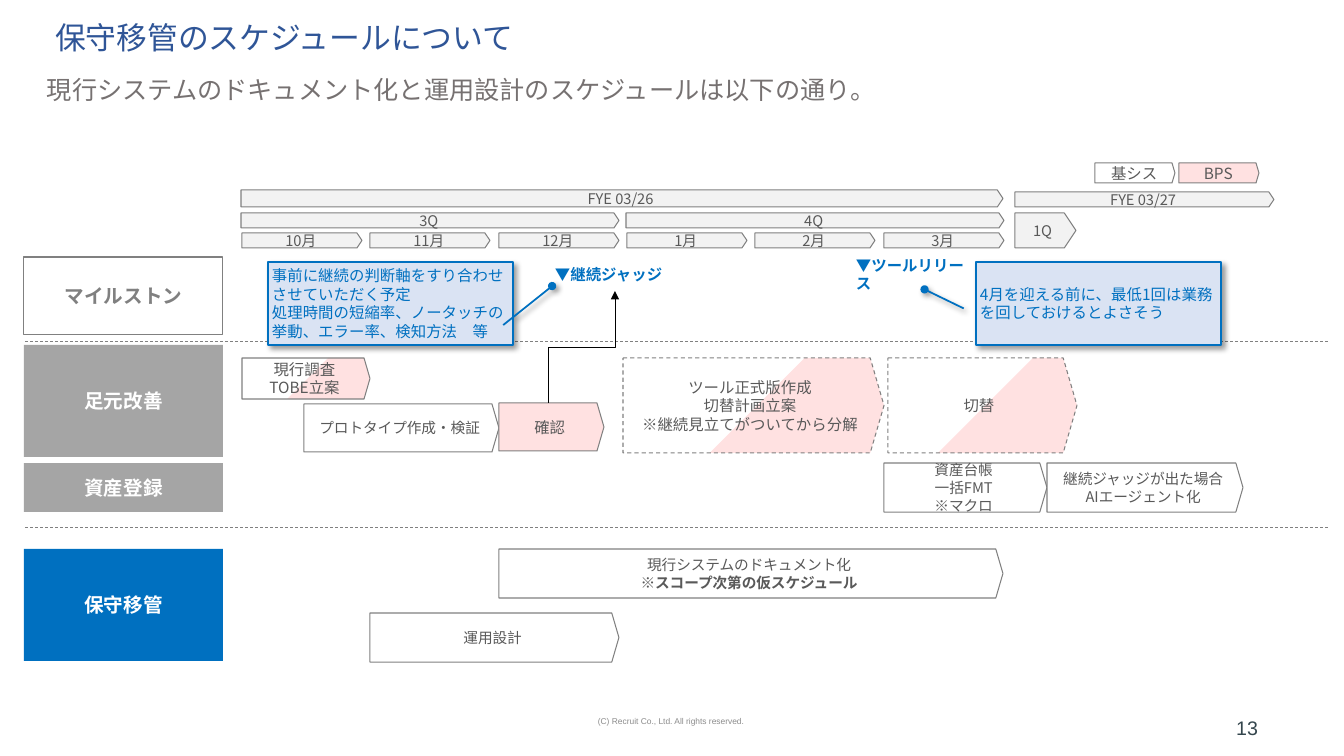
import pptx
import pptx.util
import pptx.dml.color
import pptx.enum.dml
import pptx.enum.shapes
import pptx.enum.text
import pptx.oxml
import pptx.oxml.ns
from dataclasses import dataclass

TITLE = "保守移管のスケジュールについて"
LEAD = "現行システムのドキュメント化と運用設計のスケジュールは以下の通り。"
FOOTER = "(C) Recruit Co., Ltd. All rights reserved."
PAGE = "13"
MONTHS = ["10月", "11月", "12月", "1月", "2月", "3月"]
QUARTERS = ["3Q", "4Q"]
LEGEND = [("基シス", "white"), ("BPS", "pink")]
YEARS = [
    ("FYE 03/26", (241, 190, 762, 17)),
    ("FYE 03/27", (1015, 192, 259, 15)),
    ("1Q", (1015, 213, 61, 35)),
]
ROWS = [
    ("マイルストン", 257, 78, "white", "grey"),
    ("足元改善", 345, 112, "band", "white"),
    ("資産登録", 463, 49, "band", "white"),
    ("保守移管", 549, 112, "blue", "white"),
]
DIVIDERS = [341, 527]
TASKS = [
    (["ツール正式版作成", "切替計画立案", "※継続見立てがついてから分解"],
     (623, 358, 261, 95), "shared", "body", True),
    (["プロトタイプ作成・検証"], (304, 404, 195, 48), "white", "small", False),
    (["現行調査", "TOBE立案"], (242, 358, 128, 41), "shared", "body", False),
    (["確認"], (499, 403, 105, 48), "pink", "body", False),
    (["切替"], (888, 358, 189, 95), "shared", "body", True),
    (["資産台帳", "一括FMT", "※マクロ"], (884, 463, 163, 49), "white", "small", False),
    (["継続ジャッジが出た場合", "AIエージェント化"], (1047, 463, 196, 49), "white", "small", False),
    (["運用設計"], (370, 613, 249, 49), "white", "small", False),
    ([("現行システムのドキュメント化", "※スコープ次第の仮スケジュール")],
     (499, 549, 504, 49), "white", "small", False),
]
MILESTONES = [("▼継続ジャッジ", 555), ("▼ツールリリース", 856)]
CALLOUTS = [
    (["事前に継続の判断軸をすり合わせさせていただく予定",
      "処理時間の短縮率、ノータッチの挙動、エラー率、検知方法　等"],
     268, (0.76, 0.96, 0.29, 1.16)),
    (["4月を迎える前に、最低1回は業務を回しておけるとよさそう"],
     976, (0.56, -0.05, 0.33, -0.21)),
]
JUDGE_ARROW = ((548, 403), (615, 291))


@dataclass(frozen=True)
class Theme:
    white: str = "FFFFFF"
    pink: str = "FFE1E1"
    pale: str = "F2F2F2"
    grey: str = "808080"
    band: str = "A5A5A5"
    blue: str = "0070C0"
    note: str = "DAE3F3"
    ink: str = "595959"
    title_ink: str = "2F5597"
    lead_ink: str = "767171"
    foot_ink: str = "8C8C8C"
    page_ink: str = "34464D"
    black: str = "000000"
    title: float = 22
    lead: float = 18
    label: float = 14
    body: float = 11
    small: float = 10.5
    foot: float = 6
    jp: str = "Noto Sans CJK JP"
    latin: str = "Arial"


T = Theme()
PX = 914400 / 100.8
NS = pptx.oxml.ns.nsdecls("a")
SHAPE = pptx.enum.shapes.MSO_SHAPE
CONNECTOR = pptx.enum.shapes.MSO_CONNECTOR
DASH = pptx.enum.dml.MSO_LINE
ALIGN = pptx.enum.text.PP_ALIGN
ANCHOR = pptx.enum.text.MSO_ANCHOR


def emu(*lengths):
    return [round(n * PX) for n in lengths]


def rgb(value):
    return pptx.dml.color.RGBColor.from_string(value)


def xml(markup):
    return pptx.oxml.parse_xml(markup)


def write(sp, paragraphs, size, color, bold=False, font=T.jp, align=ALIGN.CENTER,
          anchor=ANCHOR.MIDDLE, wrap=True, inset=None, spacing=None):
    tf = sp.text_frame
    tf.word_wrap = wrap
    tf.vertical_anchor = anchor
    if inset is not None:
        tf.margin_left = tf.margin_right = tf.margin_top = tf.margin_bottom = emu(inset)[0]
    for i, lines in enumerate(paragraphs):
        p = tf.add_paragraph() if i else tf.paragraphs[0]
        p.alignment = align
        if spacing:
            p.line_spacing = spacing
        for j, line in enumerate([lines] if isinstance(lines, str) else lines):
            if j:
                p.add_line_break()
            r = p.add_run()
            r.text = line
            r.font.size = pptx.util.Pt(size)
            r.font.bold = bold or j > 0
            r.font.color.rgb = rgb(color)
            r.font.name = font
            r.font._element.append(xml(f'<a:ea {NS} typeface="{font}"/>'))


def add_text(s, box, text, size, color, **fmt):
    write(s.shapes.add_textbox(*emu(*box)), [text], size, color, **fmt)


def add_box(s, kind, box, fill, line=None, width=0.75, adjust=()):
    sp = s.shapes.add_shape(kind, *emu(*box))
    sp.shadow.inherit = False
    for i, value in enumerate(adjust):
        sp.adjustments[i] = value
    sp.fill.solid()
    sp.fill.fore_color.rgb = rgb(fill)
    if line:
        sp.line.color.rgb = rgb(line)
        sp.line.width = pptx.util.Pt(width)
    else:
        sp.line.fill.background()
    return sp


def split_fill(sp):
    stops = [(0, T.white), (51, T.white), (51, T.pink), (100, T.pink)]
    gs = "".join(f'<a:gs pos="{pos * 1000}"><a:srgbClr val="{c}"/></a:gs>' for pos, c in stops)
    spPr = sp._element.spPr
    spPr.replace(spPr.find(pptx.oxml.ns.qn("a:solidFill")), xml(
        f'<a:gradFill {NS} rotWithShape="1"><a:gsLst>{gs}</a:gsLst>'
        '<a:lin ang="2700000" scaled="0"/></a:gradFill>'))


def add_plate(s, paragraphs, box, fill, size, point=0.145, dashed=False):
    shared = fill == "shared"
    sp = add_box(s, SHAPE.PENTAGON, box, T.white if shared else getattr(T, fill),
                 T.grey, adjust=[point])
    if shared:
        split_fill(sp)
    if dashed:
        sp.line.dash_style = DASH.DASH
    write(sp, paragraphs, size, T.ink, wrap=False, inset=4)


def add_line(s, kind, start, end, color):
    c = s.shapes.add_connector(kind, *emu(*start, *end))
    c.line.color.rgb = rgb(color)
    c.line.width = pptx.util.Pt(0.5)
    c._element.spPr.append(xml(f"<a:effectLst {NS}/>"))
    return c


def add_tail(sp, kind):
    sp.line._get_or_add_ln().append(xml(f'<a:tailEnd {NS} type="{kind}"/>'))


def add_rising_arrow(s, start, end):
    (x1, y1), (x2, y2) = start, end
    cx, cy = (x1 + x2) / 2, (y1 + y2) / 2
    half_run, half_rise = (y1 - y2) / 2, (x2 - x1) / 2
    c = add_line(s, CONNECTOR.ELBOW, (cx + half_run, cy + half_rise),
                 (cx - half_run, cy - half_rise), T.black)
    c._element.spPr.xfrm.set("rot", "5400000")
    add_tail(c, "triangle")


def add_callout(s, paragraphs, x, adjust):
    sp = add_box(s, SHAPE.LINE_CALLOUT_1, (x, 262, 245, 83), T.note, T.blue, 1.25, adjust)
    add_tail(sp, "oval")
    sp._element.spPr.find(pptx.oxml.ns.qn("a:effectLst")).append(xml(
        f'<a:outerShdw {NS} blurRad="50800" dist="38100" dir="2700000" algn="tl" '
        f'rotWithShape="0"><a:srgbClr val="{T.black}"><a:alpha val="40000"/>'
        '</a:srgbClr></a:outerShdw>'))
    write(sp, paragraphs, T.body, T.blue, align=ALIGN.LEFT, inset=4)


def main():
    prs = pptx.Presentation()
    prs.slide_width, prs.slide_height = emu(1344, 756)
    s = prs.slides.add_slide(prs.slide_layouts[5])
    title = s.shapes.title
    title.left, title.top, title.width, title.height = emu(45, 5, 1240, 70)
    write(title, [TITLE], T.title, T.title_ink, align=ALIGN.LEFT, spacing=0.9)
    add_text(s, (966, 708, 302, 40), PAGE, T.label, T.page_ink, font=T.latin, align=ALIGN.RIGHT)
    add_text(s, (444, 701, 454, 40), FOOTER, T.foot, T.foot_ink, font=T.latin)
    add_text(s, (37, 69, 1299, 113), LEAD, T.lead, T.lead_ink, align=ALIGN.LEFT, anchor=ANCHOR.TOP)

    for i, (name, fill) in enumerate(LEGEND):
        add_plate(s, [name], (1095 + 84 * i, 163, 80, 20), fill, T.body)
    periods = YEARS + [(q, (241 + 385 * i, 213, 378, 15)) for i, q in enumerate(QUARTERS)]
    periods += [(m, (round(242 + 128.3 * i), 233, 120, 15)) for i, m in enumerate(MONTHS)]
    for name, box in periods:
        add_plate(s, [name], box, "pale", T.small, point=0.334)

    for name, y, h, fill, ink in ROWS:
        sp = add_box(s, SHAPE.RECTANGLE, (24, y, 199, h), getattr(T, fill),
                     T.grey if fill == "white" else None)
        write(sp, [name], T.label, getattr(T, ink), bold=True, wrap=False)
    for y in DIVIDERS:
        add_line(s, CONNECTOR.STRAIGHT, (1328, y), (24, y), T.grey).line.dash_style = DASH.DASH
    for paragraphs, box, fill, size, dashed in TASKS:
        add_plate(s, paragraphs, box, fill, getattr(T, size), dashed=dashed)
    add_rising_arrow(s, *JUDGE_ARROW)
    for name, x in MILESTONES:
        add_text(s, (x, 259, 120, 31), name, T.body, T.blue, bold=True, align=ALIGN.LEFT, inset=0)
    for callout in CALLOUTS:
        add_callout(s, *callout)
    prs.save("out.pptx")


if __name__ == "__main__":
    main()
